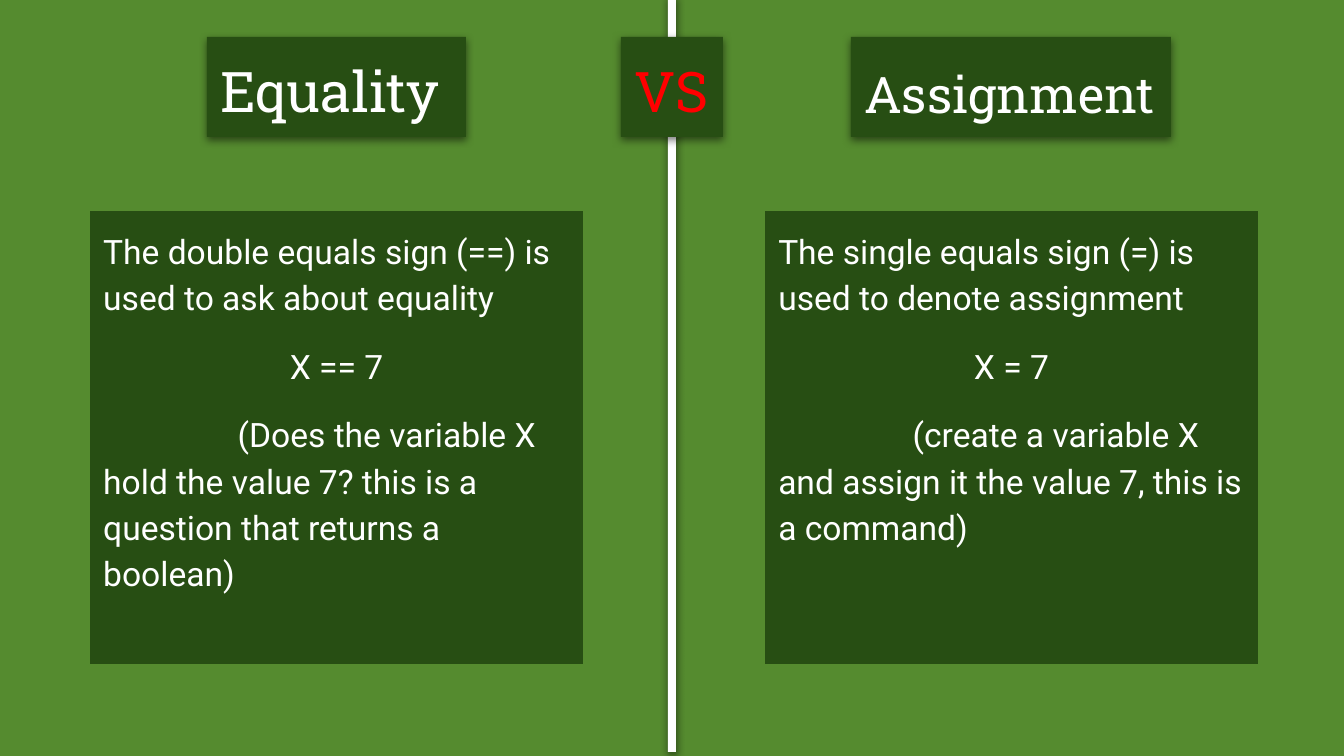
"""Build a slide that contrasts the equality and assignment operators."""
from lxml import etree
from pptx import Presentation
from pptx.dml.color import RGBColor
from pptx.enum import shapes, text
from pptx.oxml import ns
from pptx.util import Inches, Pt

SCALE = 914400 / 134.4
GREEN, DARK, WHITE, RED = "558B2F", "274E13", "FFFFFF", "FF0000"

DIVIDER = (668, -4, 8, 756)
HEADING_TOP, HEADING_HEIGHT = 37, 100
HEADINGS = [
    ("Equality", 207, 259, 30, WHITE),
    ("Assignment", 851, 320, 27, WHITE),
    ("VS", 621, 102, 30, RED),
]
PANEL_TOP, PANEL_WIDTH, PANEL_HEIGHT = 211, 493, 453
PANELS = [
    (90, [
        "The double equals sign (==) is used to ask about equality",
        "X == 7",
        "\t(Does the variable X hold the value 7? this is a question that returns a boolean)",
    ]),
    (765, [
        "The single equals sign (=) is used to denote assignment",
        "X = 7",
        "\t(create a variable X and assign it the value 7, this is a command)",
    ]),
]
PARAGRAPH_STYLES = [
    (text.PP_ALIGN.LEFT, 0, 0),
    (text.PP_ALIGN.CENTER, 12, 0),
    (text.PP_ALIGN.LEFT, 12, 12),
]


def px(length):
    return round(length * SCALE)


def color(value):
    return RGBColor.from_string(value)


def add_block(slide, box, fill, shadow=False):
    block = slide.shapes.add_shape(shapes.MSO_SHAPE.RECTANGLE, *map(px, box))
    block.fill.solid()
    block.fill.fore_color.rgb = color(fill)
    block.line.fill.background()
    block.shadow.inherit = False
    if shadow:
        effects = block._element.spPr.find(ns.qn("a:effectLst"))
        outer = etree.SubElement(
            effects, ns.qn("a:outerShdw"), blurRad=str(Pt(4.5)), dist=str(Pt(1.5)),
            dir="5400000", algn="bl", rotWithShape="0")
        tint = etree.SubElement(outer, ns.qn("a:srgbClr"), val="000000")
        etree.SubElement(tint, ns.qn("a:alpha"), val="50000")
    return block


def prepare_frame(block, anchor):
    frame = block.text_frame
    frame.word_wrap = True
    frame.vertical_anchor = anchor
    frame.margin_left = frame.margin_right = Pt(7.2)
    frame.margin_top = frame.margin_bottom = Pt(7.2)
    return frame


def write(paragraph, words, font, size, ink):
    run = paragraph.add_run()
    run.text = words
    run.font.name = font
    run.font.size = Pt(size)
    run.font.color.rgb = color(ink)


def add_tab_stop(paragraph, position):
    stops = etree.SubElement(paragraph._p.get_or_add_pPr(), ns.qn("a:tabLst"))
    etree.SubElement(stops, ns.qn("a:tab"), pos=str(position), algn="l")


def add_heading(slide, words, left, width, size, ink):
    block = add_block(slide, (left, HEADING_TOP, width, HEADING_HEIGHT), DARK, shadow=True)
    paragraph = prepare_frame(block, text.MSO_ANCHOR.BOTTOM).paragraphs[0]
    paragraph.alignment = text.PP_ALIGN.LEFT
    write(paragraph, words, "Roboto Slab", size, ink)


def add_panel(slide, left, sentences):
    block = add_block(slide, (left, PANEL_TOP, PANEL_WIDTH, PANEL_HEIGHT), DARK)
    frame = prepare_frame(block, text.MSO_ANCHOR.TOP)
    for index, (words, style) in enumerate(zip(sentences, PARAGRAPH_STYLES)):
        paragraph = frame.add_paragraph() if index else frame.paragraphs[0]
        alignment, before, after = style
        paragraph.alignment = alignment
        paragraph.line_spacing = 1.15
        paragraph.space_before, paragraph.space_after = Pt(before), Pt(after)
        if words.startswith("\t"):
            add_tab_stop(paragraph, Inches(1))
        write(paragraph, words, "Roboto", 18, WHITE)


def main():
    deck = Presentation()
    deck.slide_width, deck.slide_height = px(1344), px(756)
    slide = deck.slides.add_slide(deck.slide_layouts[6])
    slide.background.fill.solid()
    slide.background.fill.fore_color.rgb = color(GREEN)
    add_block(slide, DIVIDER, WHITE, shadow=True)
    for panel in PANELS:
        add_panel(slide, *panel)
    for heading in HEADINGS:
        add_heading(slide, *heading)
    deck.save("out.pptx")


if __name__ == "__main__":
    main()
